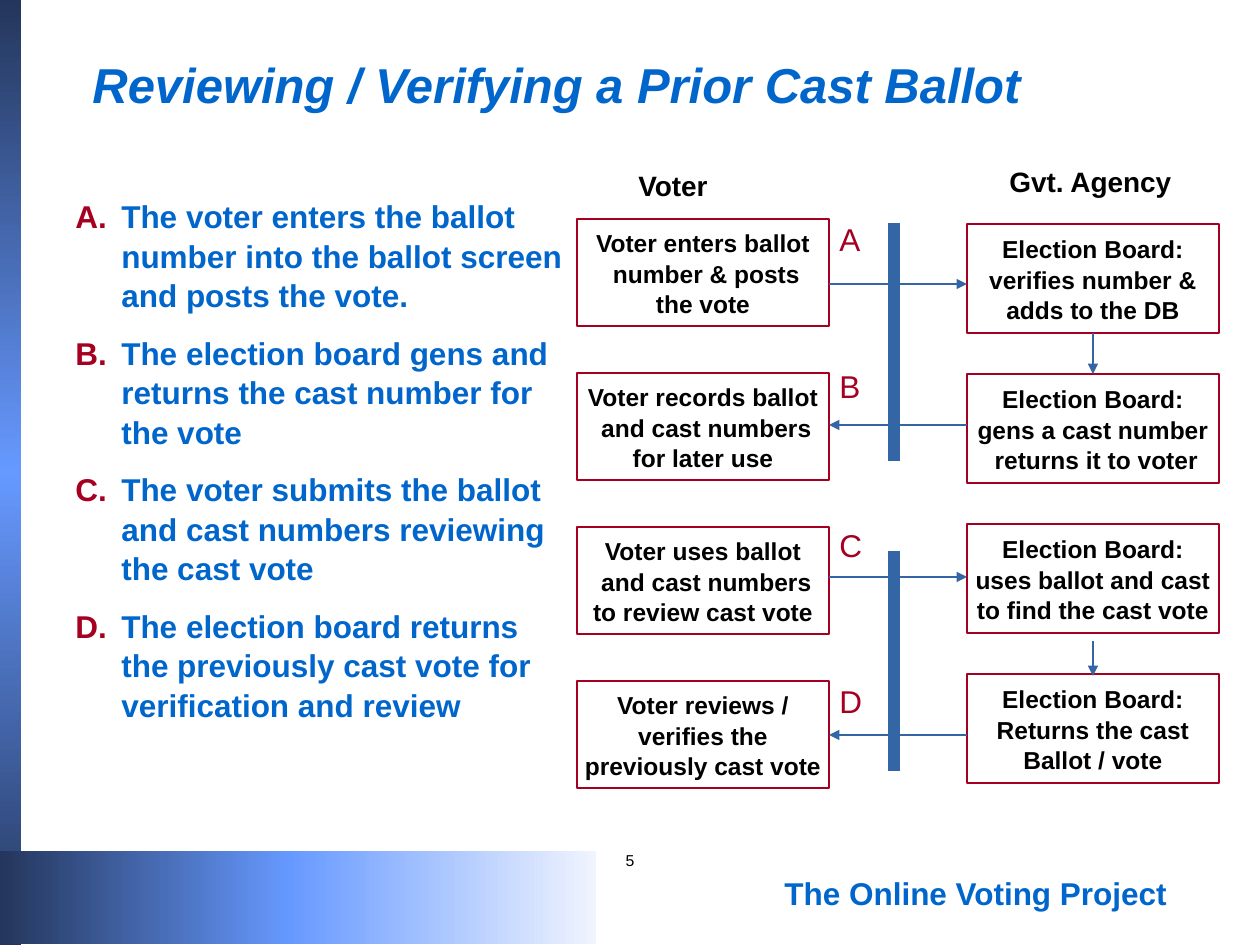
from copy import deepcopy

from lxml.etree import SubElement
from pptx import Presentation
from pptx.dml.color import RGBColor
from pptx.enum.shapes import MSO_CONNECTOR, MSO_SHAPE
from pptx.enum.text import MSO_ANCHOR, PP_ALIGN
from pptx.oxml.ns import qn
from pptx.util import Emu, Pt

EMU_PER_PX = 914400 / 126
NAVY = RGBColor(0x24, 0x36, 0x5B)
SKY = RGBColor(0x66, 0x99, 0xFF)
PALE = RGBColor(0xF0, 0xF4, 0xFE)
BLUE = RGBColor(0x00, 0x66, 0xCC)
STEEL = RGBColor(0x34, 0x65, 0xA4)
CRIMSON = RGBColor(0xA5, 0x00, 0x21)
BLACK = RGBColor(0, 0, 0)

STEPS = [
    "The voter enters the ballot number into the ballot screen and posts the vote.",
    "The election board gens and returns the cast number for the vote",
    "The voter submits the ballot and cast numbers reviewing the cast vote",
    "The election board returns the previously cast vote for verification and review",
]
VOTER_BOXES = [
    ["Voter enters ballot", " number & posts", "the vote"],
    ["Voter records ballot", " and cast numbers", "for later use"],
    ["Voter uses ballot", " and cast numbers", "to review cast vote"],
    ["Voter reviews /", "verifies the", "previously cast vote"],
]
AGENCY_BOXES = [
    ["Election Board:", "verifies number &", "adds to the DB"],
    ["Election Board:", "gens a cast number", " returns it to voter"],
    ["Election Board:", "uses ballot and cast", "to find the cast vote"],
    ["Election Board:", "Returns the cast", "Ballot / vote"],
]
MESSAGES = [("A", 212, 284), ("B", 359, 425), ("C", 518, 577), ("D", 674, 735)]
VOTER_EDGE, AGENCY_EDGE = 829, 967
HEADING = {"size": Pt(16), "bold": True}
STRONG = {"size": Pt(18), "bold": True}
CENTERED = {"alignment": PP_ALIGN.CENTER, "line_spacing": 1.05}


def px(*lengths):
    """Turn pixel lengths into EMU."""
    return [Emu(round(length * EMU_PER_PX)) for length in lengths]


def set_all(target, values):
    """Set every attribute named in a dict of format values."""
    for name, value in values.items():
        setattr(target, name, value)


def write(shape, lines, color, font, layout, wrap=False):
    """Fill a shape with one formatted paragraph per line."""
    frame = shape.text_frame
    frame.word_wrap = wrap
    frame.text = "\n".join(lines)
    for para in frame.paragraphs:
        set_all(para, layout)
        for span in para.runs:
            set_all(span.font, {"name": "Arial", **font})
            span.font.color.rgb = color
    return frame


def add_text(page, bounds, lines, color, font, layout=None, wrap=False):
    """Add a text box."""
    box = page.shapes.add_textbox(*px(*bounds))
    return write(box, lines, color, font, layout or {"line_spacing": 1.05}, wrap)


def add_gradient(page, bounds, colors, angle):
    """Add a borderless rectangle with evenly spaced gradient stops."""
    bar = page.shapes.add_shape(MSO_SHAPE.RECTANGLE, *px(*bounds))
    bar.shadow.inherit = False
    bar.line.fill.background()
    bar.fill.gradient()
    bar.fill.gradient_angle = angle
    stop_list = bar._element.spPr.find(".//" + qn("a:gsLst"))
    for _ in colors[2:]:
        stop_list.append(deepcopy(stop_list[0]))
    for index, (stop, color) in enumerate(zip(bar.fill.gradient_stops, colors)):
        stop.position = index / (len(colors) - 1)
        stop.color.rgb = color


def add_process(page, bounds, lines):
    """Add an outlined process box with centred text."""
    box = page.shapes.add_shape(MSO_SHAPE.FLOWCHART_PROCESS, *px(*bounds))
    box.shadow.inherit = False
    box.fill.background()
    box.line.color.rgb = CRIMSON
    box.line.width = Pt(0.75)
    frame = write(box, lines, BLACK, {"size": Pt(14), "bold": True}, CENTERED)
    frame.vertical_anchor = MSO_ANCHOR.MIDDLE


def add_line(page, ends, width=0.75, arrow=True):
    """Add a straight line, with an arrowhead at its end if wanted."""
    line = page.shapes.add_connector(MSO_CONNECTOR.STRAIGHT, *px(*ends))
    line.line.color.rgb = STEEL
    line.line.width = Pt(width)
    if arrow:
        SubElement(line.line._get_or_add_ln(), qn("a:tailEnd"), type="triangle")
    SubElement(line._element.spPr, qn("a:effectLst"))


def add_steps(page):
    """Add the lettered list of steps."""
    layout = {"space_before": Pt(5), "space_after": Pt(5), "line_spacing": 1.05}
    frame = add_text(page, (63, 189, 514, 585), STEPS, BLUE, STRONG, layout, True)
    indent, = px(46)
    for para in frame.paragraphs:
        properties = para._p.get_or_add_pPr()
        properties.set("marL", str(indent))
        properties.set("indent", str(-indent))
        bullet_color = SubElement(properties, qn("a:buClr"))
        SubElement(bullet_color, qn("a:srgbClr"), val=str(CRIMSON))
        SubElement(properties, qn("a:buFont"), typeface="Arial")
        SubElement(properties, qn("a:buAutoNum"), type="alphaUcPeriod")


def add_flow(page):
    """Add the exchange between the voter and the agency."""
    add_text(page, (625, 161, 96, 47), ["Voter"], BLACK, HEADING, CENTERED)
    add_text(page, (997, 157, 187, 47), ["Gvt. Agency"], BLACK, HEADING, CENTERED)
    for row, (voter, agency) in enumerate(zip(VOTER_BOXES, AGENCY_BOXES)):
        add_process(page, (577, 219 + 154 * row, 252, 107), voter)
        add_process(page, (967, 224 + 150 * row, 252, 109), agency)
    for row, (letter, top, y) in enumerate(MESSAGES):
        start, end = VOTER_EDGE, AGENCY_EDGE
        if row % 2:
            start, end = end, start
        add_line(page, (start, y, end, y))
        add_text(page, (827, top, 45, 50), [letter], CRIMSON, {"size": Pt(18)})
    for top, bottom in ((333, 374), (641, 676)):
        add_line(page, (1093, top, 1093, bottom))
    for top, bottom in ((223, 461), (551, 771)):
        add_line(page, (894, top, 894, bottom), 7.2, False)


def main():
    """Build the slide and save it."""
    deck = Presentation()
    deck.slide_width, deck.slide_height = px(1260, 945)
    page = deck.slides.add_slide(deck.slide_layouts[6])
    add_gradient(page, (0, 0, 21, 945), [NAVY, SKY, NAVY], 270)
    add_gradient(page, (0, 851, 291, 93), [NAVY, SKY], 0)
    add_gradient(page, (289, 851, 307, 93), [SKY, PALE], 0)
    add_text(page, (590, 844, 80, 32), ["5"], BLACK, {"size": Pt(9)}, CENTERED, True)
    add_text(page, (772, 866, 411, 50), ["The Online Voting Project"], BLUE, STRONG)
    add_text(page, (80, 45, 1089, 69), ["Reviewing / Verifying a Prior Cast Ballot"],
             BLUE, {"size": Pt(28), "bold": True, "italic": True}, wrap=True)
    add_steps(page)
    add_flow(page)
    deck.save("out.pptx")


if __name__ == "__main__":
    main()
